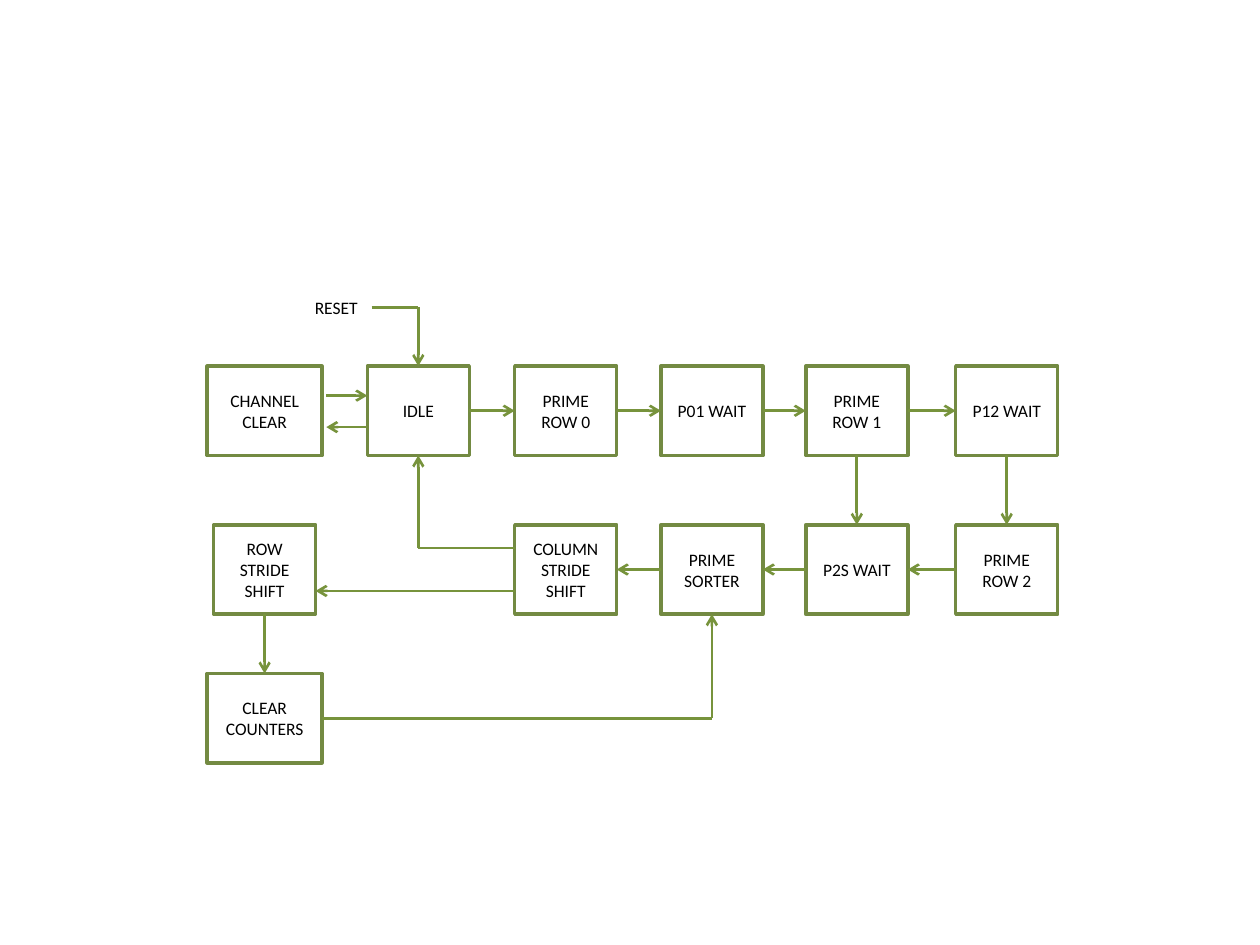
from dataclasses import dataclass

from lxml import etree
from pptx import Presentation
from pptx.dml.color import RGBColor
from pptx.enum.shapes import MSO_CONNECTOR, MSO_SHAPE
from pptx.enum.text import MSO_ANCHOR, PP_ALIGN
from pptx.oxml.ns import qn
from pptx.util import Inches, Pt


@dataclass(frozen=True)
class Theme:
    """Colours, type and line weights of the diagram."""
    border: RGBColor = RGBColor(0x73, 0x8A, 0x42)
    arrow: RGBColor = RGBColor(0x77, 0x93, 0x3C)
    text: RGBColor = RGBColor(0, 0, 0)
    font: str = "Calibri"
    size: float = 10
    border_width: float = 2
    arrow_width: float = 1.5


THEME = Theme()

# Centres of the grid columns and rows, in inches
COLUMNS = (2.1, 3.32, 4.49, 5.65, 6.8, 7.99)
ROWS = (3.26, 4.52, 5.7)
BOX_WIDTH, WIDE_BOX, BOX_HEIGHT = 0.81, 0.91, 0.71

# State name: column, row, box width
STATES = {
    "CHANNEL CLEAR": (0, 0, WIDE_BOX),
    "IDLE": (1, 0, BOX_WIDTH),
    "PRIME ROW 0": (2, 0, BOX_WIDTH),
    "P01 WAIT": (3, 0, BOX_WIDTH),
    "PRIME ROW 1": (4, 0, BOX_WIDTH),
    "P12 WAIT": (5, 0, BOX_WIDTH),
    "ROW STRIDE SHIFT": (0, 1, BOX_WIDTH),
    "COLUMN STRIDE SHIFT": (2, 1, BOX_WIDTH),
    "PRIME SORTER": (3, 1, BOX_WIDTH),
    "P2S WAIT": (4, 1, BOX_WIDTH),
    "PRIME ROW 2": (5, 1, BOX_WIDTH),
    "CLEAR COUNTERS": (0, 2, WIDE_BOX),
}

# Straight transitions: source, target, vertical offset from the row centre
TRANSITIONS = (
    ("IDLE", "PRIME ROW 0", 0),
    ("PRIME ROW 0", "P01 WAIT", 0),
    ("P01 WAIT", "PRIME ROW 1", 0),
    ("PRIME ROW 1", "P12 WAIT", 0),
    ("PRIME ROW 1", "P2S WAIT", 0),
    ("P12 WAIT", "PRIME ROW 2", 0),
    ("PRIME ROW 2", "P2S WAIT", 0),
    ("P2S WAIT", "PRIME SORTER", 0),
    ("PRIME SORTER", "COLUMN STRIDE SHIFT", 0),
    ("COLUMN STRIDE SHIFT", "ROW STRIDE SHIFT", 0.17),
    ("ROW STRIDE SHIFT", "CLEAR COUNTERS", 0),
)


def edge(state, side):
    """Return the midpoint of one side of a state's box."""
    column, row, width = STATES[state]
    dx, dy = {"left": (-1, 0), "right": (1, 0),
              "top": (0, -1), "bottom": (0, 1)}[side]
    return COLUMNS[column] + dx * width / 2, ROWS[row] + dy * BOX_HEIGHT / 2


def write(shape, text):
    """Set a shape's text in the theme's type and return its paragraph."""
    paragraph = shape.text_frame.paragraphs[0]
    run = paragraph.add_run()
    run.text = text
    run.font.name = THEME.font
    run.font.size = Pt(THEME.size)
    run.font.color.rgb = THEME.text
    return paragraph


def add_state(slide, name):
    """Draw an outlined state box with its centred name."""
    column, row, width = STATES[name]
    box = slide.shapes.add_shape(
        MSO_SHAPE.RECTANGLE,
        Inches(COLUMNS[column] - width / 2), Inches(ROWS[row] - BOX_HEIGHT / 2),
        Inches(width), Inches(BOX_HEIGHT))
    box.shadow.inherit = False
    box.fill.background()
    box.line.color.rgb = THEME.border
    box.line.width = Pt(THEME.border_width)
    box.text_frame.word_wrap = True
    box.text_frame.vertical_anchor = MSO_ANCHOR.MIDDLE
    write(box, name).alignment = PP_ALIGN.CENTER


def add_route(slide, *points):
    """Join points with lines, ending in an arrowhead."""
    for start, end in zip(points, points[1:]):
        line = slide.shapes.add_connector(
            MSO_CONNECTOR.STRAIGHT, *(Inches(v) for v in start + end))
        line.line.color.rgb = THEME.arrow
        line.line.width = Pt(THEME.arrow_width)
        properties = line.element.spPr
        etree.SubElement(properties, qn("a:effectLst"))
        if end == points[-1]:
            etree.SubElement(properties.find(qn("a:ln")), qn("a:tailEnd"), type="arrow")


def add_transition(slide, source, target, offset):
    """Draw a straight arrow between the facing sides of two states."""
    from_column, from_row, _ = STATES[source]
    to_column, to_row, _ = STATES[target]
    if from_row != to_row:
        sides = ("bottom", "top")
    elif from_column < to_column:
        sides = ("right", "left")
    else:
        sides = ("left", "right")
    ends = (edge(state, side) for state, side in zip((source, target), sides))
    add_route(slide, *((x, y + offset) for x, y in ends))


def add_label(slide, text, left, top, width, height):
    """Add a plain text label."""
    label = slide.shapes.add_textbox(*(Inches(v) for v in (left, top, width, height)))
    label.text_frame.word_wrap = True
    write(label, text)


def main():
    """Build the state diagram slide."""
    deck = Presentation()
    deck.slide_width, deck.slide_height = Inches(10), Inches(7.5)
    slide = deck.slides.add_slide(deck.slide_layouts[6])

    for name in STATES:
        add_state(slide, name)
    for transition in TRANSITIONS:
        add_transition(slide, *transition)

    # Both directions between the idle and clear states
    idle_left, idle_y = edge("IDLE", "left")
    clear_right = 2.59
    add_route(slide, (clear_right, idle_y - 0.12), (idle_left, idle_y - 0.12))
    add_route(slide, (idle_left, idle_y + 0.13), (clear_right, idle_y + 0.13))

    # Routes with a corner
    idle_x = COLUMNS[1]
    reset_y = 2.44
    add_route(slide, (2.95, reset_y), (idle_x, reset_y), edge("IDLE", "top"))
    shift_left, shift_y = edge("COLUMN STRIDE SHIFT", "left")
    return_y = shift_y - 0.17
    add_route(slide, (shift_left, return_y), (idle_x, return_y), edge("IDLE", "bottom"))
    add_route(slide, edge("CLEAR COUNTERS", "right"), (COLUMNS[3], ROWS[2]),
              edge("PRIME SORTER", "bottom"))

    add_label(slide, "RESET", 2.4, 2.31, 0.58, 0.27)
    deck.save("out.pptx")


main()
